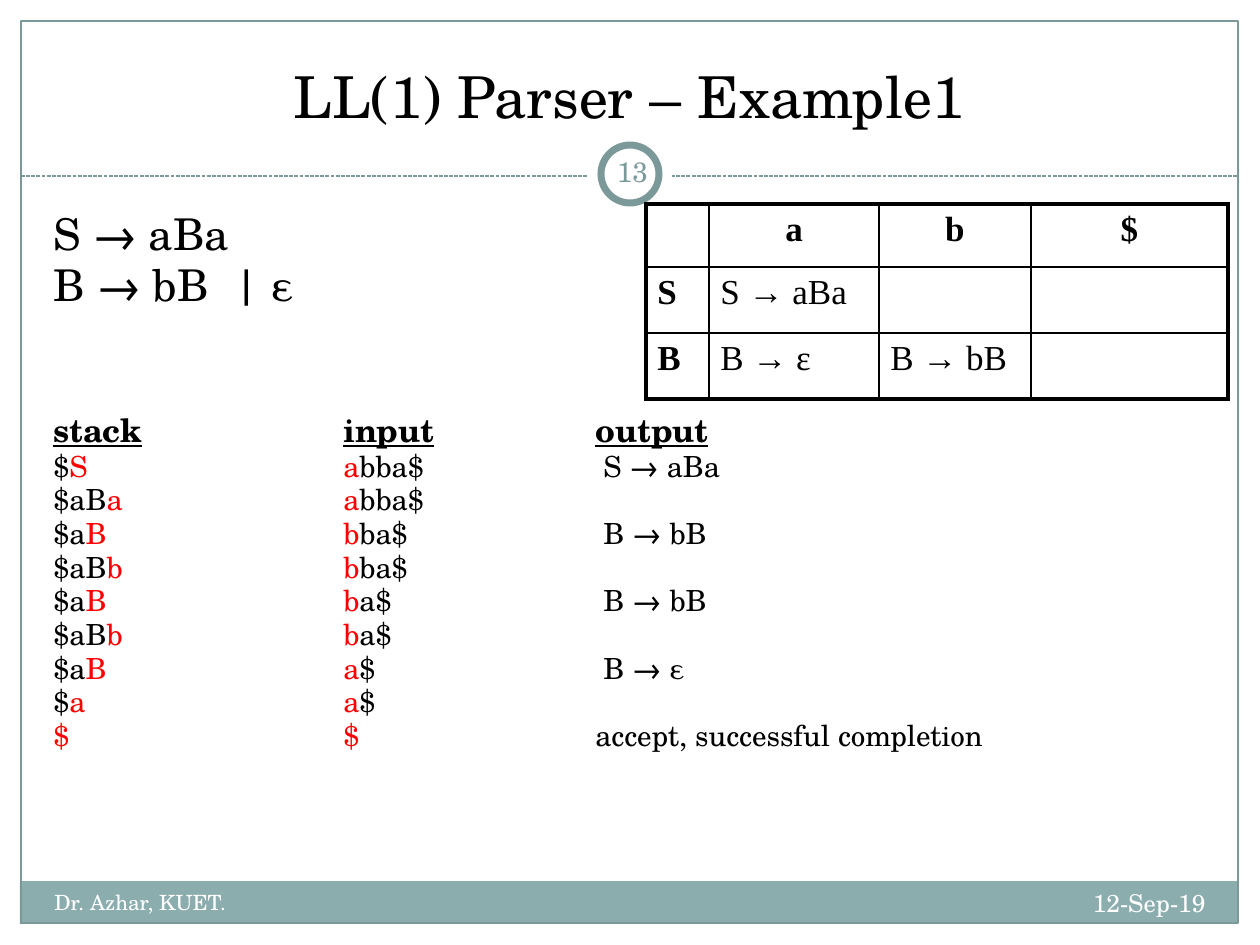
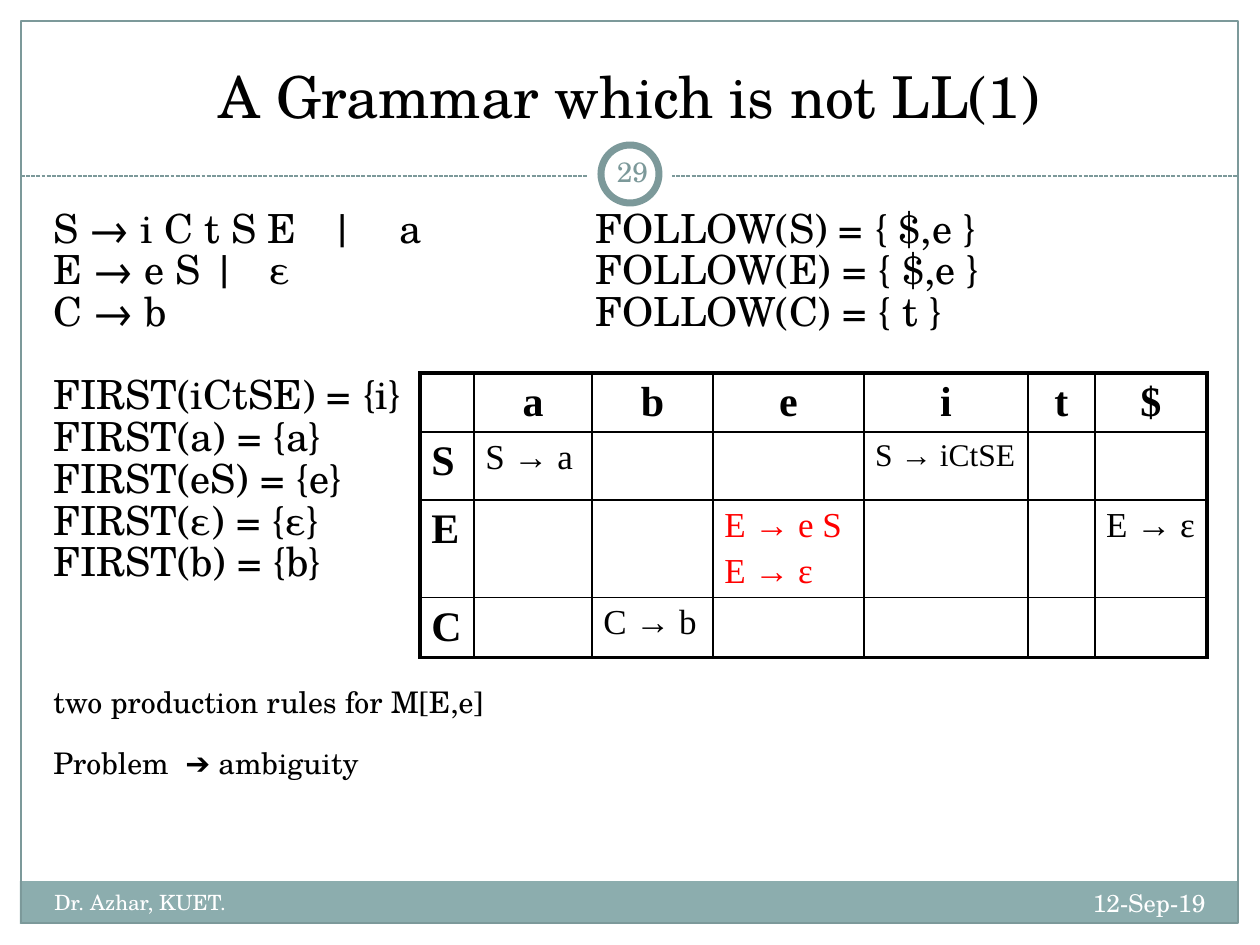
from lxml import etree
from pptx import Presentation
from pptx.dml.color import RGBColor
from pptx.enum.dml import MSO_LINE
from pptx.enum.shapes import MSO_CONNECTOR, MSO_SHAPE
from pptx.enum.text import MSO_ANCHOR, PP_ALIGN
from pptx.oxml.ns import qn
from pptx.util import Inches, Pt

WHITE = RGBColor(0xFF, 0xFF, 0xFF)
BLACK = RGBColor(0, 0, 0)
RED = RGBColor(0xFF, 0, 0)
BAND = RGBColor(0x8C, 0xAD, 0xAE)
TEAL = RGBColor(0x7C, 0x99, 0x9A)
SERIF, ROMAN = "TeX Gyre Schola", "Times New Roman"
LEFT, MID, RIGHT = PP_ALIGN.LEFT, PP_ALIGN.CENTER, PP_ALIGN.RIGHT
TOP, CENTER, BOTTOM = MSO_ANCHOR.TOP, MSO_ANCHOR.MIDDLE, MSO_ANCHOR.BOTTOM
RECT, OVAL = MSO_SHAPE.RECTANGLE, MSO_SHAPE.OVAL
STRAIGHT, DASH = MSO_CONNECTOR.STRAIGHT, MSO_LINE.SQUARE_DOT
SCALE = 914400 / 126
THICK, THIN = 2.25, 1
STOPS = (290, 542)


def emu(*lengths):
    return [round(n * SCALE) for n in lengths]


class Deck:
    """Builds the lecture slides in one shared style."""

    def __init__(self):
        self.prs = Presentation()
        self.prs.slide_width, self.prs.slide_height = emu(1260, 945)

    def start(self, title, number):
        self.slide = self.prs.slides.add_slide(self.prs.slide_layouts[6])
        for box in ((0, 0, 1260, 192), (0, 0, 21, 945), (1239, 0, 21, 945)):
            self.shape(RECT, box, fill=WHITE)
        self.shape(RECT, (20, 881, 1218, 43), fill=BAND)
        self.shape(RECT, (21, 21, 1217, 902), line=TEAL)
        self.rule(21, 1238, 176)
        self.shape(OVAL, (588, 132, 84, 84), fill=WHITE)
        self.shape(OVAL, (601, 145, 58, 58), WHITE, TEAL, 4)
        self.label(title, (41, 31, 1176, 105), 33, BLACK, MID, BOTTOM)
        self.label("12-Sep-19", (798, 882, 420, 50), 14, WHITE, RIGHT)
        self.label("Dr. Azhar, KUET.", (42, 883, 494, 50), 12, WHITE)
        badge = self.label(str(number), (601, 141, 63, 60), 16, TEAL, MID, CENTER)
        badge.margin_left = badge.margin_right = Inches(0.05)

    def shape(self, kind, box, fill=None, line=None, width=0.75):
        item = self.slide.shapes.add_shape(kind, *emu(*box))
        item.shadow.inherit = False
        if fill is None:
            item.fill.background()
        else:
            item.fill.solid()
            item.fill.fore_color.rgb = fill
        if line is None:
            item.line.fill.background()
        else:
            item.line.color.rgb = line
            item.line.width = Pt(width)

    def rule(self, left, right, y):
        line = self.slide.shapes.add_connector(STRAIGHT, *emu(left, y, right, y))
        line.line.color.rgb = TEAL
        line.line.width = Pt(0.75)
        line.line.dash_style = DASH
        etree.SubElement(line._element.spPr, qn("a:effectLst"))

    def frame(self, box, anchor=TOP):
        frame = self.slide.shapes.add_textbox(*emu(*box)).text_frame
        frame.word_wrap = True
        frame.vertical_anchor = anchor
        return frame

    def font(self, para, size, color=BLACK, name=SERIF, bold=False):
        font = para.font
        font.size, font.name, font.bold = Pt(size), name, bold
        font.color.rgb = color

    def label(self, text, box, size, color, align=LEFT, anchor=TOP):
        frame = self.frame(box, anchor)
        para = frame.paragraphs[0]
        para.text, para.alignment = text, align
        self.font(para, size, color)
        return frame

    def body(self, box, lines, spacing):
        """Each line is (size, extra gap above, text runs)."""
        frame = self.frame(box)
        for i, (size, gap, runs) in enumerate(lines):
            para = frame.add_paragraph() if i else frame.paragraphs[0]
            para.line_spacing = spacing
            para.space_before = Pt(round(size * 0.2 + gap, 2))
            tabs = etree.SubElement(para._p.get_or_add_pPr(), qn("a:tabLst"))
            for stop in emu(*STOPS):
                etree.SubElement(tabs, qn("a:tab"), pos=str(stop), algn="l")
            self.font(para, size)
            for text, look in runs:
                run = para.add_run()
                run.text = text
                if look == "head":
                    run.font.bold = run.font.underline = True
                elif look == "red":
                    run.font.color.rgb = RED

    def edges(self, cell, widths):
        props = cell._tc.get_or_add_tcPr()
        for side, width in zip("LRTB", widths):
            line = etree.SubElement(props, qn(f"a:ln{side}"), w=str(Pt(width)))
            fill = etree.SubElement(line, qn("a:solidFill"))
            etree.SubElement(fill, qn("a:srgbClr"), val=str(BLACK))
        cell.fill.background()

    def grid(self, left, top, cols, rows, cells, head, marks):
        """Marks maps a cell text to its own (size, color)."""
        box = emu(left, top, sum(cols), sum(rows))
        table = self.slide.shapes.add_table(len(rows), len(cols), *box).table
        table.first_row = table.horz_banding = False
        for col, width in zip(table.columns, emu(*cols)):
            col.width = width
        for row, height in zip(table.rows, emu(*rows)):
            row.height = height
        for r, line in enumerate(cells):
            for c, text in enumerate(line):
                cell = table.cell(r, c)
                ends = (c == 0, c == len(cols) - 1, r == 0, r == len(rows) - 1)
                self.edges(cell, [THICK if end else THIN for end in ends])
                cell.margin_left = cell.margin_right = Inches(0.09)
                cell.margin_bottom = 0
                cell.text = text
                bold = r == 0 or c == 0
                size, color = marks.get(text, (head if bold else 20, BLACK))
                for para in cell.text_frame.paragraphs:
                    para.alignment = LEFT if r else MID
                    para.space_before = Pt(size * 0.2)
                    self.font(para, size, color, ROMAN, bold)


def plain(size, *texts, gap=0):
    return [(size, 0 if i else gap, [(text, "")]) for i, text in enumerate(texts)]


def step(rest, top, head, tail, out):
    runs = [(rest, ""), (top + "\t" + head, "red"), (tail, "")]
    if out:
        runs.append(("\t" + out, ""))
    return 16.6, 0, [run for run in runs if run[0]]


deck = Deck()

deck.start("LL(1) Parser – Example1", 13)
steps = [
    ("$", "S", "a", "bba$", " S → aBa"),
    ("$aB", "a", "a", "bba$", ""),
    ("$a", "B", "b", "ba$", " B → bB"),
    ("$aB", "b", "b", "ba$", ""),
    ("$a", "B", "b", "a$", " B → bB"),
    ("$aB", "b", "b", "a$", ""),
    ("$a", "B", "a", "$", " B → ε"),
    ("$", "a", "a", "$", ""),
    ("", "$", "$", "", "accept, successful completion"),
]
heads = [("stack", "head"), ("\t", ""), ("input", "head"), ("\t", ""),
         ("output", "head")]
lines = plain(25, "S → aBa", "B → bB  | ε")
lines += [(18.5, 58, heads)] + [step(*item) for item in steps]
deck.body((41, 211, 1172, 630), lines, 0.8)
deck.grid(646, 204, [63, 170, 152, 197], [63, 66, 66], [
    ["", "a", "b", "$"],
    ["S", "S → aBa", "", ""],
    ["B", "B → ε", "B → bB", ""],
], 20, {})

deck.start("A Grammar which is not LL(1)", 29)
lines = plain(
    22.9,
    "S → i C t S E   |    a\tFOLLOW(S) = { $,e }".replace("\t", "\t\t"[:1]),
    "E → e S |   ε\t\tFOLLOW(E) = { $,e }",
    "C → b\t\tFOLLOW(C) = { t }",
)
firsts = [("iCtSE", "i"), ("a", "a"), ("eS", "e"), ("ε", "ε"), ("b", "b")]
lines += plain(22.9, *[f"FIRST({a}) = {{{b}}}" for a, b in firsts], gap=23.8)
lines += plain(17, "two production rules for M[E,e]", gap=59.2)
lines += plain(17, "Problem  ➔ ambiguity", gap=17.7)
deck.body((41, 210, 1172, 662), lines, 0.7)
clash = "E → e S\nE → ε"
deck.grid(420, 373, [54, 118, 121, 151, 164, 67, 112], [59, 68, 97, 60], [
    ["", "a", "b", "e", "i", "t", "$"],
    ["S", "S → a", "", "", "S → iCtSE", "", ""],
    ["E", "", "", clash, "", "", "E → ε"],
    ["C", "", "C → b", "", "", "", ""],
], 24, {clash: (20, RED), "S → iCtSE": (18, BLACK)})

deck.prs.save("out.pptx")
